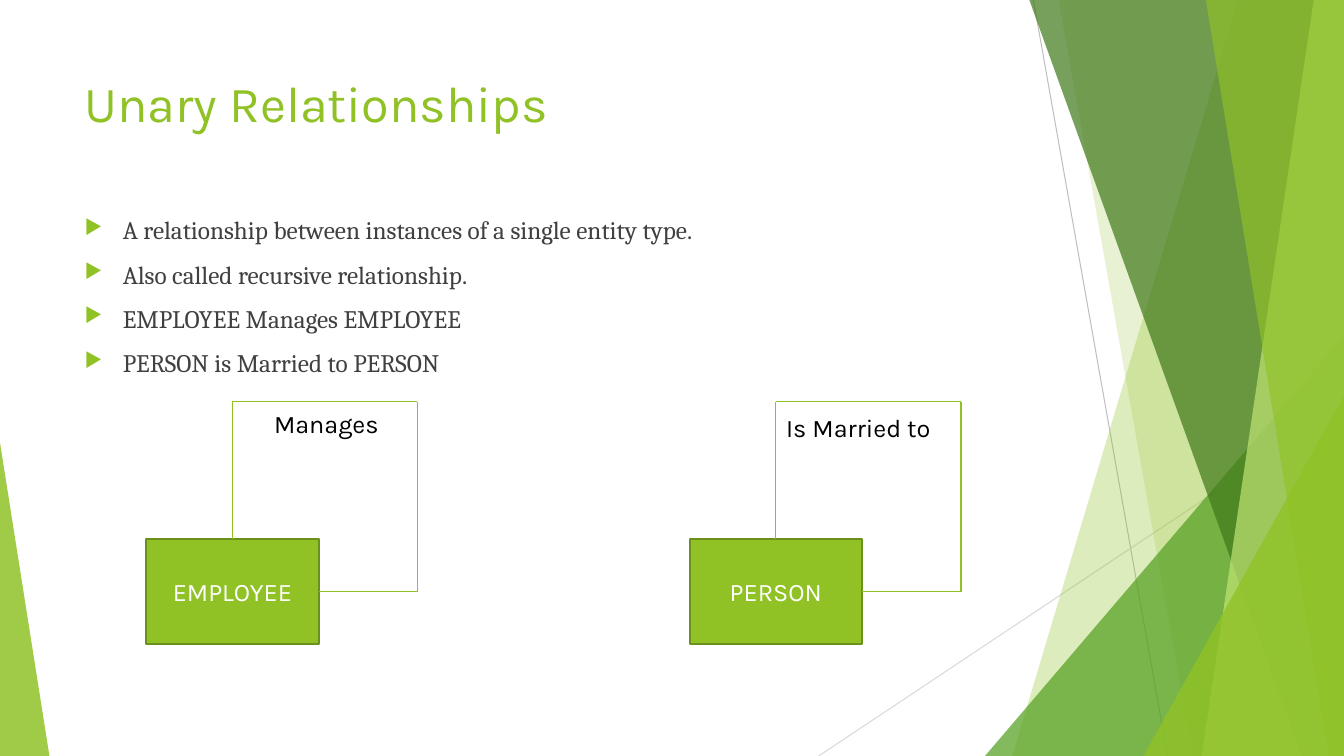
from dataclasses import dataclass
from itertools import pairwise

from lxml import etree
from pptx import Presentation
from pptx.dml.color import RGBColor
from pptx.enum.shapes import MSO_CONNECTOR, MSO_SHAPE
from pptx.enum.text import MSO_ANCHOR, PP_ALIGN
from pptx.oxml.ns import qn
from pptx.util import Inches, Pt

STRAIGHT = MSO_CONNECTOR.STRAIGHT
RECTANGLE = MSO_SHAPE.RECTANGLE
TRIANGLE = MSO_SHAPE.ISOSCELES_TRIANGLE
LEFT, CENTER = PP_ALIGN.LEFT, PP_ALIGN.CENTER
TOP, MIDDLE = MSO_ANCHOR.TOP, MSO_ANCHOR.MIDDLE
WIDTH, HEIGHT = Inches(13.33), Inches(7.5)


@dataclass(frozen=True)
class Theme:
    lime: str = "90C226"
    green: str = "54A021"
    forest: str = "3F7819"
    pale: str = "C0E474"
    border: str = "6B901C"
    gray: str = "BFBFBF"
    silver: str = "D9D9D9"
    ink: str = "404040"
    black: str = "000000"
    white: str = "FFFFFF"
    heading: str = "Karla"
    serif: str = "Cambria"
    title_size: int = 36
    text_size: int = 18


THEME = Theme()


def x(percent):
    return round(WIDTH * percent / 100)


def y(percent):
    return round(HEIGHT * percent / 100)


def box(left, top, width, height):
    return x(left), y(top), x(width), y(height)


def add_child(parent, tag, **attrs):
    return etree.SubElement(parent, qn(tag), attrs)


def paint(sp, color, alpha=100):
    sp.shadow.inherit = False
    sp.fill.solid()
    sp.fill.fore_color.rgb = RGBColor.from_string(color)
    sp.line.fill.background()
    if alpha < 100:
        clr = sp.fill._xPr.find(qn("a:solidFill"))[0]
        add_child(clr, "a:alpha", val=str(alpha * 1000))


def add_bullet(p, color):
    pPr = p._p.get_or_add_pPr()
    pPr.set("marL", str(Inches(0.38)))
    pPr.set("indent", str(-Inches(0.38)))
    add_child(add_child(pPr, "a:buClr"), "a:srgbClr", val=color)
    add_child(pPr, "a:buSzPct", val="80000")
    add_child(pPr, "a:buChar", char="▶")


def write(sp, *lines, font=THEME.heading, size=THEME.text_size, color=THEME.black,
          align=LEFT, anchor=TOP, before=0, bullet=None):
    tf = sp.text_frame
    tf.word_wrap = True
    tf.vertical_anchor = anchor
    for i, line in enumerate(lines):
        p = tf.paragraphs[0] if i == 0 else tf.add_paragraph()
        p.alignment = align
        p.space_before = Pt(before)
        if bullet:
            add_bullet(p, bullet)
        r = p.add_run()
        r.text = line
        r.font.name = font
        r.font.size = Pt(size)
        r.font.color.rgb = RGBColor.from_string(color)


def add_line(s, start, end, color, weight):
    line = s.shapes.add_connector(STRAIGHT, x(start[0]), y(start[1]), x(end[0]), y(end[1]))
    line.line.color.rgb = RGBColor.from_string(color)
    line.line.width = Pt(weight)
    add_child(line._element.spPr, "a:effectLst")


def add_wedge(s, top_left, bottom_left, color, alpha):
    builder = s.shapes.build_freeform(x(top_left), 0)
    builder.add_line_segments([(WIDTH, 0), (WIDTH, HEIGHT), (x(bottom_left), HEIGHT)])
    paint(builder.convert_to_shape(), color, alpha)


def add_corner(s, left, top, width, apex, color, alpha):
    sp = s.shapes.add_shape(TRIANGLE, *box(left, top, width, 100 - top))
    sp.adjustments[0] = apex
    paint(sp, color, alpha)


def add_backdrop(s):
    add_line(s, (76.89, 0), (86.87, 100), THEME.gray, 0.75)
    add_line(s, (100, 53.73), (60.92, 100), THEME.silver, 0.75)
    add_wedge(s, 92.12, 75.32, THEME.lime, 30)
    add_wedge(s, 78.77, 88.75, THEME.lime, 20)
    add_corner(s, 73.29, 44.4, 26.71, 1, THEME.green, 72)
    add_wedge(s, 76.59, 96.85, THEME.forest, 70)
    add_wedge(s, 97.75, 89.42, THEME.pale, 70)
    add_wedge(s, 89.72, 98.87, THEME.lime, 65)
    add_corner(s, 85.07, 52.4, 14.93, 1, THEME.lime, 80)
    add_corner(s, 0, 58.53, 3.68, 0, THEME.lime, 85)


def add_title(s, text):
    title = s.shapes.title
    title.left, title.top, title.width, title.height = box(5.55, 8.93, 70.52, 19.2)
    write(title, text, size=THEME.title_size, color=THEME.lime)


def add_text(s, area, *lines, **fmt):
    write(s.shapes.add_textbox(*box(*area)), *lines, **fmt)


def add_unary(s, left, entity, relation, label_area):
    top, width, height = 71.33, 12.83, 13.87
    sp = s.shapes.add_shape(RECTANGLE, *box(left, top, width, height))
    paint(sp, THEME.lime)
    sp.line.color.rgb = RGBColor.from_string(THEME.border)
    sp.line.width = Pt(1.5)
    write(sp, entity, color=THEME.white, align=CENTER, anchor=MIDDLE)
    center, middle = left + width / 2, top + height / 2
    loop_right, loop_top = left + width + 7.35, 53.13
    loop = [(left + width, middle), (loop_right, middle), (loop_right, loop_top),
            (center, loop_top), (center, top)]
    for start, end in pairwise(loop):
        add_line(s, start, end, THEME.lime, 1)
    add_text(s, label_area, relation)


def main():
    prs = Presentation()
    prs.slide_width, prs.slide_height = WIDTH, HEIGHT
    s = prs.slides.add_slide(prs.slide_layouts[5])
    add_backdrop(s)
    add_title(s, "Unary Relationships")
    add_text(s, (5.55, 27.73, 70.52, 56.53),
             "A relationship between instances of a single entity type.",
             "Also called recursive relationship.",
             "EMPLOYEE Manages EMPLOYEE",
             "PERSON is Married to PERSON",
             font=THEME.serif, color=THEME.ink, before=10, bullet=THEME.lime)
    add_unary(s, 51.31, "PERSON", "Is Married to", (57.76, 53.87, 12.68, 5.33))
    add_unary(s, 10.88, "EMPLOYEE", "Manages", (19.65, 53.33, 10.05, 5.33))
    prs.save("out.pptx")


if __name__ == "__main__":
    main()
